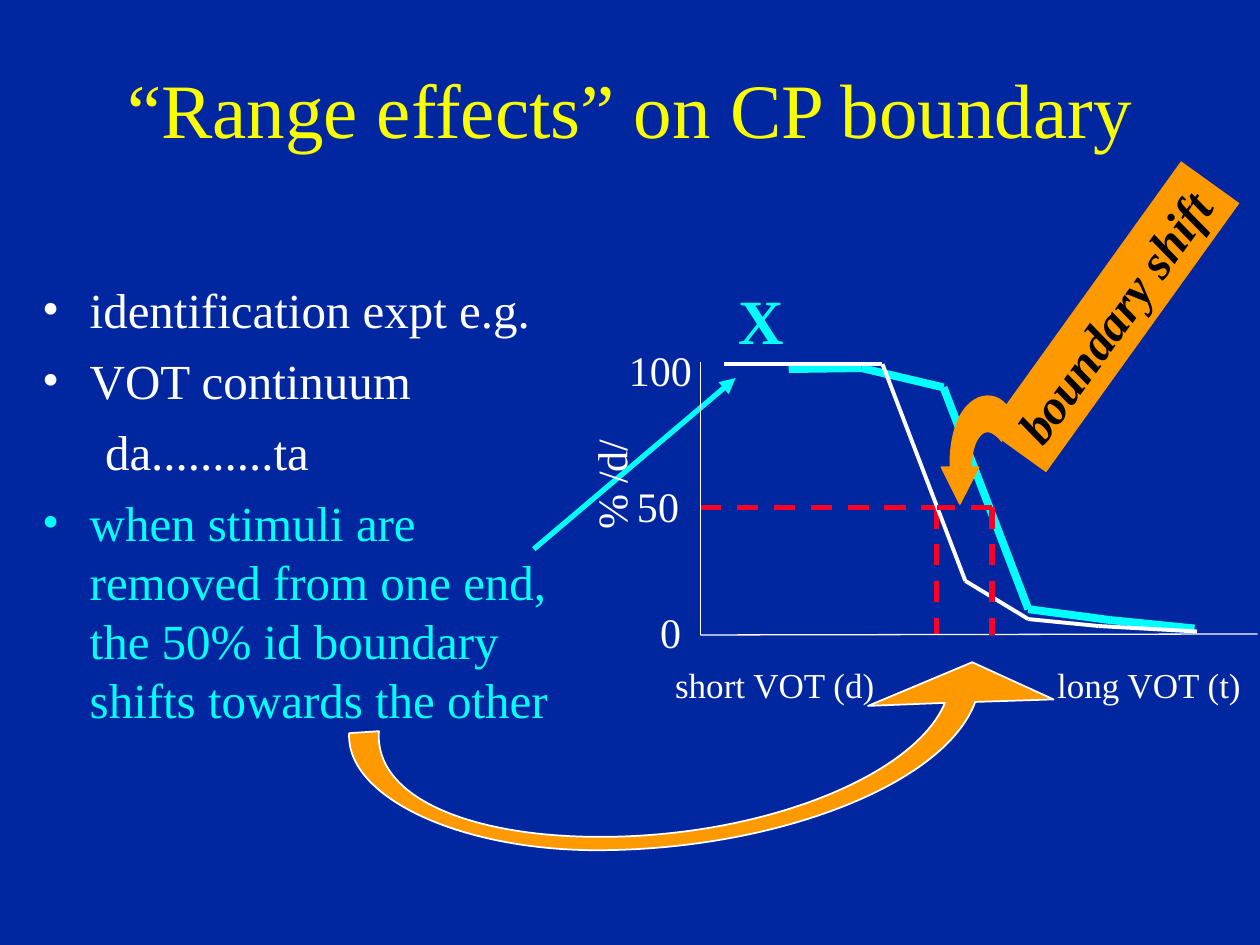
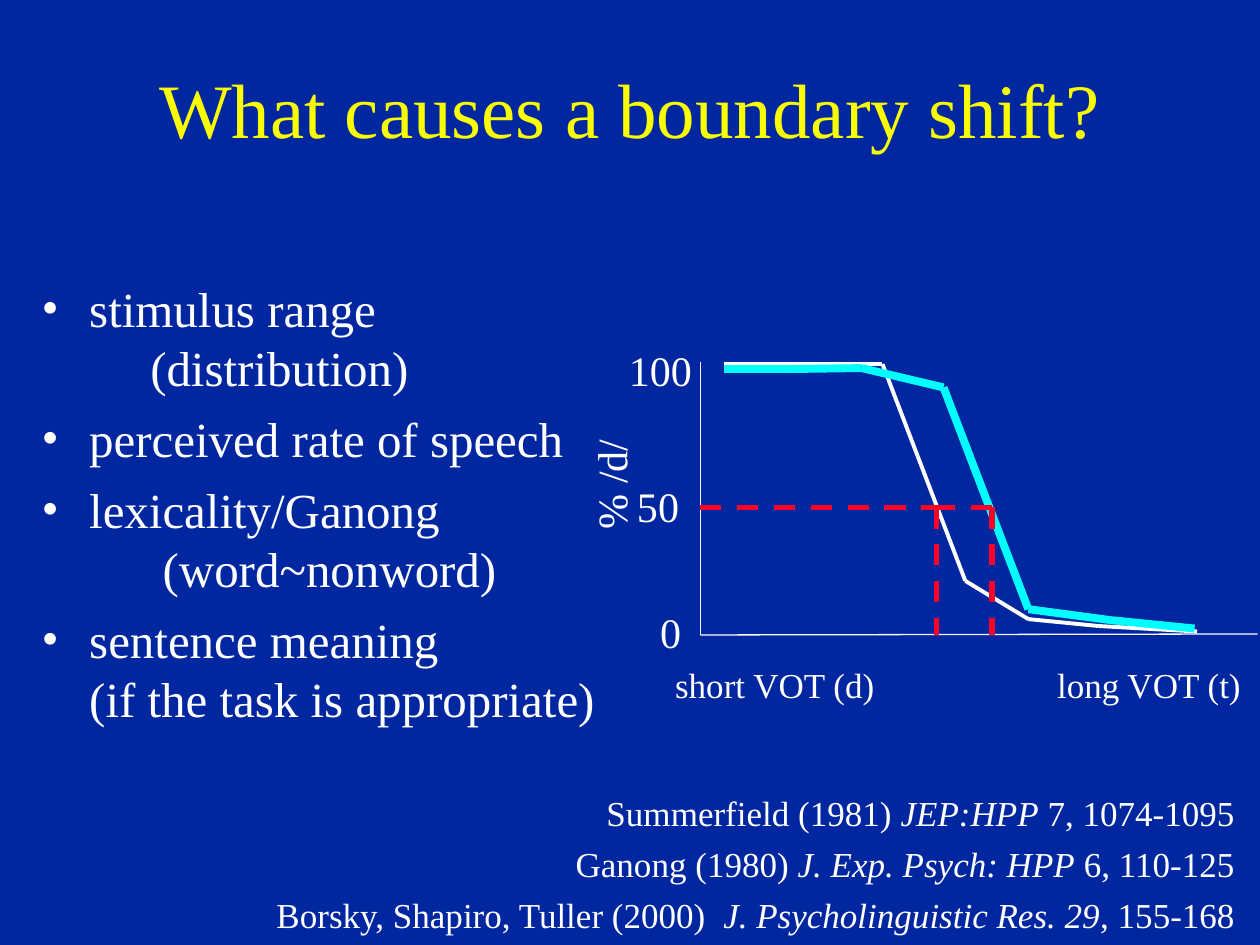
from itertools import pairwise
from math import cos, radians, sin

from lxml import etree
from pptx import Presentation
from pptx.dml.color import RGBColor
from pptx.enum.dml import MSO_LINE
from pptx.enum.shapes import MSO_CONNECTOR, MSO_SHAPE
from pptx.enum.text import MSO_ANCHOR, MSO_AUTO_SIZE, PP_ALIGN
from pptx.oxml.ns import qn
from pptx.util import Cm, Pt

STRAIGHT = MSO_CONNECTOR.STRAIGHT
RECTANGLE = MSO_SHAPE.RECTANGLE
DASH = MSO_LINE.DASH
MIDDLE, TOP = MSO_ANCHOR.MIDDLE, MSO_ANCHOR.TOP
LEFT, CENTER, RIGHT = PP_ALIGN.LEFT, PP_ALIGN.CENTER, PP_ALIGN.RIGHT
NO_AUTOFIT = MSO_AUTO_SIZE.NONE

FONT = "Times New Roman"
COLORS = {
    "background": "00279F",
    "title": "FAFD00",
    "text": "FFFFFF",
    "shifted": "00FFFF",
    "boundary": "FC0128",
    "shift": "FF9900",
    "banner text": "000000",
}

# Graph geometry in cm
AXIS_X, AXIS_TOP, AXIS_Y, AXIS_RIGHT = 14.12, 7.29, 12.8, 25.35
HALF_Y = 10.23
BASE_BOUNDARY, SHIFTED_BOUNDARY = 18.88, 20
BASE_CURVE = [(14.59, 7.34), (16.08, 7.34), (17.79, 7.34), (19.46, 11.71),
              (20.73, 12.48), (22.15, 12.62), (24.13, 12.73)]
SHIFTED_CURVE = [(15.9, 7.44), (17.37, 7.42), (19.02, 7.81), (20.73, 12.28),
                 (22.38, 12.5), (24.08, 12.67)]
REMOVED_END = (14.59, 7.44)

REFERENCES = [
    ("Summerfield (1981) ", "JEP:HPP", " 7, 1074-1095"),
    ("Ganong (1980) ", "J. Exp. Psych: HPP", " 6, 110-125"),
    ("Borsky, Shapiro, Tuller (2000)  ", "J. Psycholinguistic Res. 29", ", 155-168"),
]

# Arrow outlines: one point is a straight side, three points a curve
HOOK_ARROW = [
    [(20.29, 8.18)],
    [(20.14, 7.98), (19.86, 7.92), (19.63, 8.08)],
    [(19.33, 8.28), (19.15, 8.76), (19.16, 9.42)],
    [(18.98, 9.42)], [(19.35, 10.16)], [(19.73, 9.42)], [(19.58, 9.42)],
    [(19.58, 9.09), (19.66, 8.81), (19.84, 8.71)],
    [(19.94, 8.66), (20.09, 8.74), (20.19, 8.89)],
]
SWEEP_ARROW = [
    [(7.04, 14.78)],
    [(6.97, 16.07), (9.27, 17.14), (12.03, 17.14)],
    [(15.62, 17.14), (19.05, 15.82), (19.66, 14.15)],
    [(21.24, 14.1)], [(19.6, 13.35)], [(17.5, 14.23)], [(19.05, 14.17)],
    [(18.45, 15.62), (15.42, 16.87), (12.1, 16.87)],
    [(9.47, 16.87), (7.54, 16.07), (7.64, 14.74)],
]


def rgb(name):
    return RGBColor.from_string(COLORS[name])


# Text
def add_run(paragraph, text, size, color="text", bold=False, italic=False):
    run = paragraph.add_run()
    run.text = text
    font = run.font
    font.name, font.size, font.bold, font.italic = FONT, Pt(size), bold, italic
    font.color.rgb = rgb(color)


def set_frame(frame, wrap=True, anchor=TOP, inset_x=0.25, inset_y=0.13):
    frame.word_wrap, frame.vertical_anchor = wrap, anchor
    frame.auto_size = NO_AUTOFIT
    frame.margin_left = frame.margin_right = Cm(inset_x)
    frame.margin_top = frame.margin_bottom = Cm(inset_y)


def add_frame(slide, box, wrap=True, rotation=0):
    holder = slide.shapes.add_textbox(*map(Cm, box))
    holder.rotation = rotation
    set_frame(holder.text_frame, wrap)
    return holder.text_frame


def add_label(slide, box, text, size, color="text", align=LEFT, bold=False,
              wrap=True, rotation=0):
    paragraph = add_frame(slide, box, wrap, rotation).paragraphs[0]
    paragraph.alignment = align
    add_run(paragraph, text, size, color, bold)
    return paragraph


def add_tab(paragraph, position):
    tabs = etree.SubElement(paragraph._p.get_or_add_pPr(), qn("a:tabLst"))
    etree.SubElement(tabs, qn("a:tab"), pos=str(Cm(position)), algn="l")


def next_paragraph(frame, index, space_before):
    if index == 0:
        return frame.paragraphs[0]
    paragraph = frame.add_paragraph()
    paragraph.space_before = Pt(space_before)
    return paragraph


def set_bullet(properties, color):
    bullet_color = etree.SubElement(properties, qn("a:buClr"))
    etree.SubElement(bullet_color, qn("a:srgbClr"), val=COLORS[color])
    etree.SubElement(properties, qn("a:buFont"), typeface=FONT)
    etree.SubElement(properties, qn("a:buChar"), char="•")


def add_points(slide, box, points):
    """Each point is (lines, colour, left margin without bullet or None, space before)."""
    frame = add_frame(slide, box)
    for index, (lines, color, margin, space) in enumerate(points):
        paragraph = next_paragraph(frame, index, space)
        properties = paragraph._p.get_or_add_pPr()
        if margin is None:
            properties.set("marL", str(Cm(0.96)))
            properties.set("indent", str(Cm(-0.96)))
            set_bullet(properties, color)
        else:
            properties.set("marL", str(Cm(margin)))
            properties.set("indent", "0")
        for number, line in enumerate(lines.split("\n")):
            if number:
                paragraph.add_line_break()
            add_run(paragraph, line, 28, color)


def add_references(slide, box):
    frame = add_frame(slide, box)
    for index, (authors, journal, pages) in enumerate(REFERENCES):
        paragraph = next_paragraph(frame, index, 5)
        paragraph.alignment = RIGHT
        add_run(paragraph, authors, 20)
        add_run(paragraph, journal, 20, italic=True)
        add_run(paragraph, pages, 20)


# Lines and outlines
def add_line(slide, start, end, color, width, dash=None, arrow=False):
    connector = slide.shapes.add_connector(STRAIGHT, *map(Cm, (*start, *end)))
    line = connector.line
    line.color.rgb, line.width = rgb(color), Pt(width)
    if dash:
        line.dash_style = dash
    if arrow:
        etree.SubElement(line._get_or_add_ln(), qn("a:tailEnd"), type="triangle")
    etree.SubElement(connector._element.spPr, qn("a:effectLst"))


def add_curve(slide, points, color, width):
    for start, end in pairwise(points):
        add_line(slide, start, end, color, width)


def fill_shift(shape, line_color=None):
    shape.shadow.inherit = False
    shape.fill.solid()
    shape.fill.fore_color.rgb = rgb("shift")
    if line_color:
        shape.line.color.rgb, shape.line.width = rgb(line_color), Pt(1)
    else:
        shape.line.fill.background()


def add_curved_outline(slide, box, rotation, sides, line_color):
    """Draw sides given in slide cm inside a box that is turned by rotation."""
    left, top, width, height = box
    middle_x, middle_y = left + width / 2, top + height / 2
    turn = radians(rotation)

    def to_box(point):
        x, y = point[0] - middle_x, point[1] - middle_y
        return (Cm(x * cos(turn) + y * sin(turn) + width / 2),
                Cm(y * cos(turn) - x * sin(turn) + height / 2))

    start, *others = [[to_box(point) for point in side] for side in sides]
    builder = slide.shapes.build_freeform(*start[0], scale=1.0)
    builder.add_line_segments([side[-1] for side in others], close=True)
    arrow = builder.convert_to_shape()
    arrow.left, arrow.top, arrow.width, arrow.height = map(Cm, box)
    arrow.rotation = rotation
    outline = next(arrow._element.iter(qn("a:path")))
    outline.set("w", str(Cm(width)))
    outline.set("h", str(Cm(height)))
    for step in list(outline):
        outline.remove(step)
    for number, side in enumerate([start, *others]):
        tag = "a:cubicBezTo" if len(side) == 3 else "a:lnTo" if number else "a:moveTo"
        step = etree.SubElement(outline, qn(tag))
        for x, y in side:
            etree.SubElement(step, qn("a:pt"), x=str(x), y=str(y))
    etree.SubElement(outline, qn("a:close"))
    fill_shift(arrow, line_color)


# Parts of the identification graph
def add_axes(slide):
    ends = add_label(slide, (13.36, 13.24, 12.52, 1.12),
                     "short VOT (d)\tlong VOT (t)", 20)
    add_tab(ends, 7.7)
    add_label(slide, (11.1, 9.08, 2.41, 1.27), "% /d/", 24, rotation=270)
    add_label(slide, (12.43, 6.81, 1.78, 1.27), "100", 24, wrap=False)
    add_label(slide, (13.06, 12.09, 0.91, 1.27), "0", 24, wrap=False)
    origin = (AXIS_X, AXIS_Y)
    add_line(slide, (AXIS_X, AXIS_TOP), origin, "text", 0.75)
    add_line(slide, origin, (AXIS_RIGHT, AXIS_Y - 0.02), "text", 0.75)


def add_boundary(slide, across_from, across_to, boundary):
    add_line(slide, (across_from, HALF_Y), (across_to, HALF_Y), "boundary", 3, DASH)
    add_line(slide, (boundary, HALF_Y), (boundary, AXIS_Y), "boundary", 3, DASH)


def add_base_boundary(slide):
    add_boundary(slide, AXIS_X, BASE_BOUNDARY, BASE_BOUNDARY)


def add_shifted_boundary(slide):
    add_boundary(slide, SHIFTED_BOUNDARY, BASE_BOUNDARY, SHIFTED_BOUNDARY)


def add_base_graph(slide):
    add_axes(slide)
    add_curve(slide, BASE_CURVE, "text", 2.25)
    add_label(slide, (12.53, 9.55, 1.47, 1.27), "50", 24, align=CENTER)


# Label of the shift
def add_banner(slide):
    banner = slide.shapes.add_shape(RECTANGLE, *map(Cm, (19.11, 5.66, 6.68, 1.45)))
    banner.rotation = 305.7
    fill_shift(banner)
    set_frame(banner.text_frame)
    paragraph = banner.text_frame.paragraphs[0]
    paragraph.alignment = CENTER
    add_run(paragraph, "boundary shift", 28, "banner text", bold=True, italic=True)


# Slides
def add_titled_slide(prs, text):
    slide = prs.slides.add_slide(prs.slide_layouts[5])
    title = slide.shapes.title
    title.left, title.top, title.width, title.height = map(Cm, (1.9, 0.58, 21.6, 3.18))
    set_frame(title.text_frame, anchor=MIDDLE, inset_x=0.1, inset_y=0.1)
    paragraph = title.text_frame.paragraphs[0]
    paragraph.alignment = CENTER
    add_run(paragraph, text, 44, "title")
    return slide


def build_range_effects(prs):
    slide = add_titled_slide(prs, "“Range effects” on CP boundary")
    add_points(slide, (0.6, 5.5, 11, 10.75), [
        ("identification expt e.g.", "text", None, 0),
        ("VOT continuum", "text", None, 7),
        ("da..........ta", "text", 1.27, 7),
        ("when stimuli are removed from one end, the 50% id boundary "
         "shifts towards the other", "shifted", None, 7),
    ])
    add_curve(slide, SHIFTED_CURVE, "shifted", 4.5)
    add_base_boundary(slide)
    add_line(slide, (10.76, 11.07), (14.83, 7.62), "shifted", 3, arrow=True)
    add_label(slide, (14.58, 5.54, 1.52, 1.78), "X", 36, "shifted", CENTER, bold=True)
    add_base_graph(slide)
    add_banner(slide)
    add_curved_outline(slide, (19.18, 8, 1.45, 2.87), 0, HOOK_ARROW, "shift")
    add_curved_outline(slide, (7.01, 11.71, 12.75, 5.36), 353.7, SWEEP_ARROW, "text")
    add_shifted_boundary(slide)


def build_causes(prs):
    slide = add_titled_slide(prs, "What causes a boundary shift?")
    add_points(slide, (0.59, 5.49, 12.47, 10.75), [
        ("stimulus range", "text", None, 0),
        ("(distribution)", "text", 2.19, 0),
        ("perceived rate of speech", "text", None, 7),
        ("lexicality/Ganong", "text", None, 7),
        ("(word~nonword)", "text", 2.44, 0),
        ("sentence meaning\n(if the task is appropriate)", "text", None, 7),
    ])
    add_base_graph(slide)
    add_curve(slide, [REMOVED_END, *SHIFTED_CURVE], "shifted", 4.5)
    add_base_boundary(slide)
    add_shifted_boundary(slide)
    add_references(slide, (3.09, 15.83, 22.05, 3.15))


def main():
    prs = Presentation()
    prs.slide_width, prs.slide_height = Cm(25.4), Cm(19.05)
    backdrop = prs.slide_master.background.fill
    backdrop.solid()
    backdrop.fore_color.rgb = rgb("background")
    build_range_effects(prs)
    build_causes(prs)
    prs.save("out.pptx")


if __name__ == "__main__":
    main()
